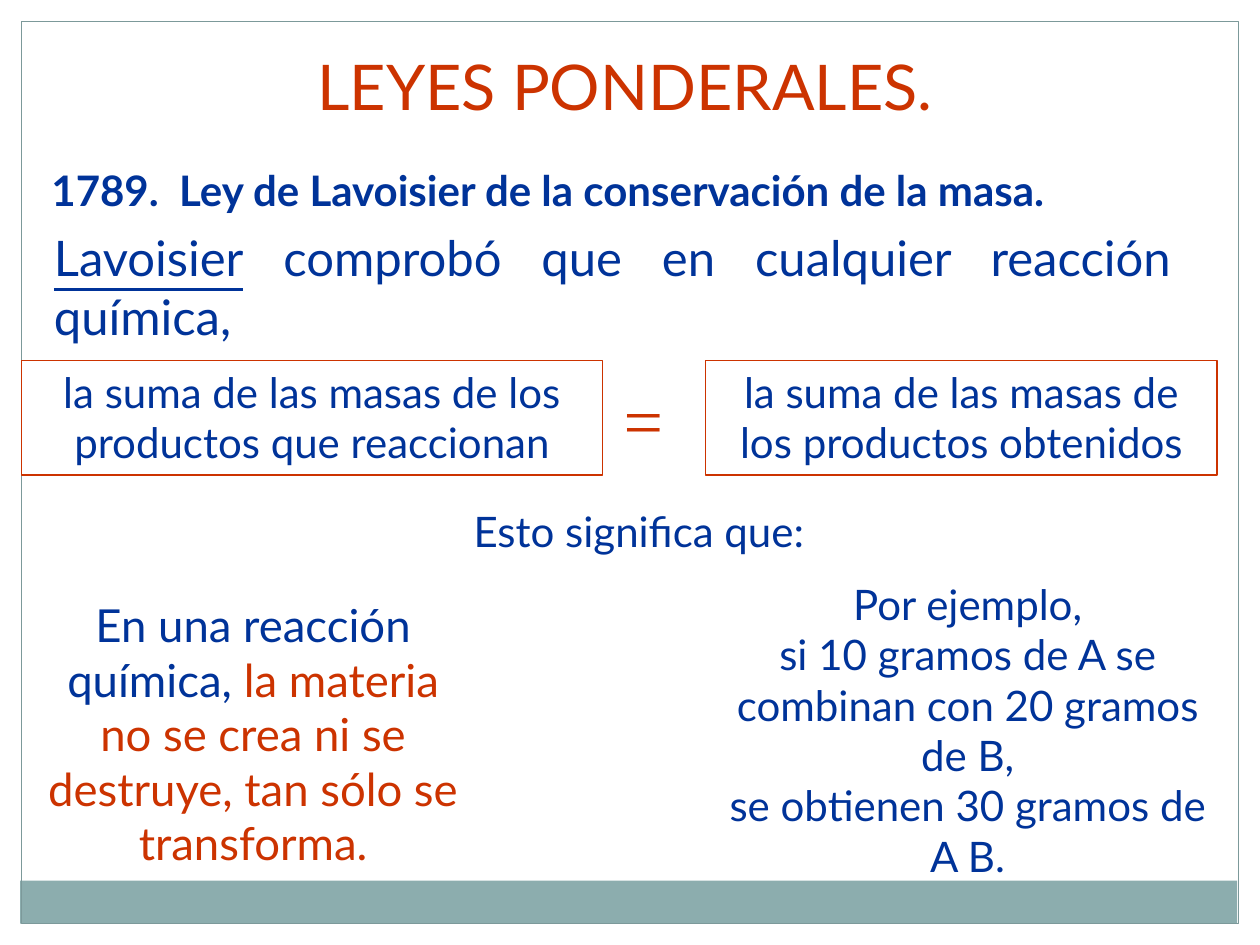
from dataclasses import dataclass
from typing import Optional

from pptx import Presentation
from pptx import util as u
from pptx.dml.color import RGBColor
from pptx.enum import shapes, text


@dataclass(frozen=True)
class Theme:
    blue: str = "003399"
    red: str = "CC3300"
    band: str = "8CADAE"
    frame: str = "7C999A"
    font: str = "Lato"
    symbol_font: str = "Times New Roman"
    body: int = 24
    conclusion: int = 26
    lead: int = 28
    title: int = 36
    symbol: int = 40
    outline: float = 0.75


THEME = Theme()


@dataclass(frozen=True)
class Span:
    words: str
    color: str = THEME.blue
    bold: bool = False
    underline: bool = False


@dataclass(frozen=True)
class Block:
    left: float
    top: float
    width: float
    height: float
    paragraphs: tuple[tuple[Span, ...], ...]
    size: int = THEME.body
    font: str = THEME.font
    align: text.PP_ALIGN = text.PP_ALIGN.LEFT
    boxed: bool = False


CENTER = text.PP_ALIGN.CENTER

HEADING = Block(2.42, 0.33, 5.67, 0.7,
                ((Span("LEYES PONDERALES.", THEME.red),),), THEME.title)

BLOCKS = (
    Block(0.31, 1.26, 9.57, 0.5,
          ((Span("1789.  Ley de Lavoisier de la conservación de la masa.", bold=True),),)),
    Block(0.33, 1.76, 9.06, 1.04,
          ((Span("Lavoisier", underline=True),
            Span(" comprobó que en cualquier reacción química,")),),
          THEME.lead, align=text.PP_ALIGN.JUSTIFY),
    Block(0.17, 2.86, 4.61, 0.91,
          ((Span("la suma de las masas de los productos que reaccionan"),),),
          align=CENTER, boxed=True),
    Block(5.6, 2.86, 4.06, 0.91,
          ((Span("la suma de las masas de los productos obtenidos"),),),
          align=CENTER, boxed=True),
    Block(3.66, 3.96, 3.19, 0.5, ((Span("Esto significa que:"),),)),
    Block(4.85, 2.94, 0.71, 0.77, ((Span("=", THEME.red),),),
          THEME.symbol, THEME.symbol_font),
    Block(0.2, 4.69, 3.62, 2.29,
          ((Span("En una reacción química,"),
            Span(" la materia no se crea ni se destruye, tan sólo se transforma.",
                 THEME.red)),),
          THEME.conclusion, align=CENTER),
    Block(5.63, 4.54, 4.1, 2.5,
          ((Span("Por ejemplo,"),),
           (Span("si 10 gramos de A se combinan con 20 gramos de B,"),),
           (Span("se obtienen 30 gramos de A B."),)),
          align=CENTER),
)


def write(frame, block: Block) -> None:
    settings = {
        "word_wrap": True,
        "auto_size": text.MSO_AUTO_SIZE.SHAPE_TO_FIT_TEXT,
        "vertical_anchor": text.MSO_ANCHOR.TOP,
    }
    for name, value in settings.items():
        setattr(frame, name, value)
    for index, spans in enumerate(block.paragraphs):
        paragraph = frame.add_paragraph() if index else frame.paragraphs[0]
        paragraph.alignment = block.align
        paragraph.space_before = u.Pt(0)
        for span in spans:
            run = paragraph.add_run()
            run.text = span.words
            style = {"name": block.font, "size": u.Pt(block.size),
                     "bold": span.bold, "underline": span.underline}
            for name, value in style.items():
                setattr(run.font, name, value)
            run.font.color.rgb = RGBColor.from_string(span.color)


def add_rectangle(slide, left: float, top: float, width: float, height: float,
                  fill: Optional[str] = None, line: Optional[str] = None):
    rectangle = slide.shapes.add_shape(
        shapes.MSO_SHAPE.RECTANGLE, *map(u.Inches, (left, top, width, height)))
    rectangle.shadow.inherit = False
    if fill:
        rectangle.fill.solid()
        rectangle.fill.fore_color.rgb = RGBColor.from_string(fill)
    else:
        rectangle.fill.background()
    if line:
        rectangle.line.color.rgb = RGBColor.from_string(line)
        rectangle.line.width = u.Pt(THEME.outline)
    else:
        rectangle.line.fill.background()
    return rectangle


def add_block(slide, block: Block) -> None:
    place = (block.left, block.top, block.width, block.height)
    if block.boxed:
        holder = add_rectangle(slide, *place, line=THEME.red)
    else:
        holder = slide.shapes.add_textbox(*map(u.Inches, place))
    write(holder.text_frame, block)


def set_title(slide, block: Block) -> None:
    heading = slide.shapes.title
    for name in ("left", "top", "width", "height"):
        setattr(heading, name, u.Inches(getattr(block, name)))
    write(heading.text_frame, block)


def main() -> None:
    deck = Presentation()
    deck.slide_width, deck.slide_height = u.Inches(10), u.Inches(7.5)
    slide = deck.slides.add_slide(deck.slide_layouts.get_by_name("Title Only"))
    add_rectangle(slide, 0.16, 6.99, 9.66, 0.34, fill=THEME.band)
    add_rectangle(slide, 0.17, 0.17, 9.66, 7.16, line=THEME.frame)
    set_title(slide, HEADING)
    for block in BLOCKS:
        add_block(slide, block)
    deck.save("out.pptx")


if __name__ == "__main__":
    main()
